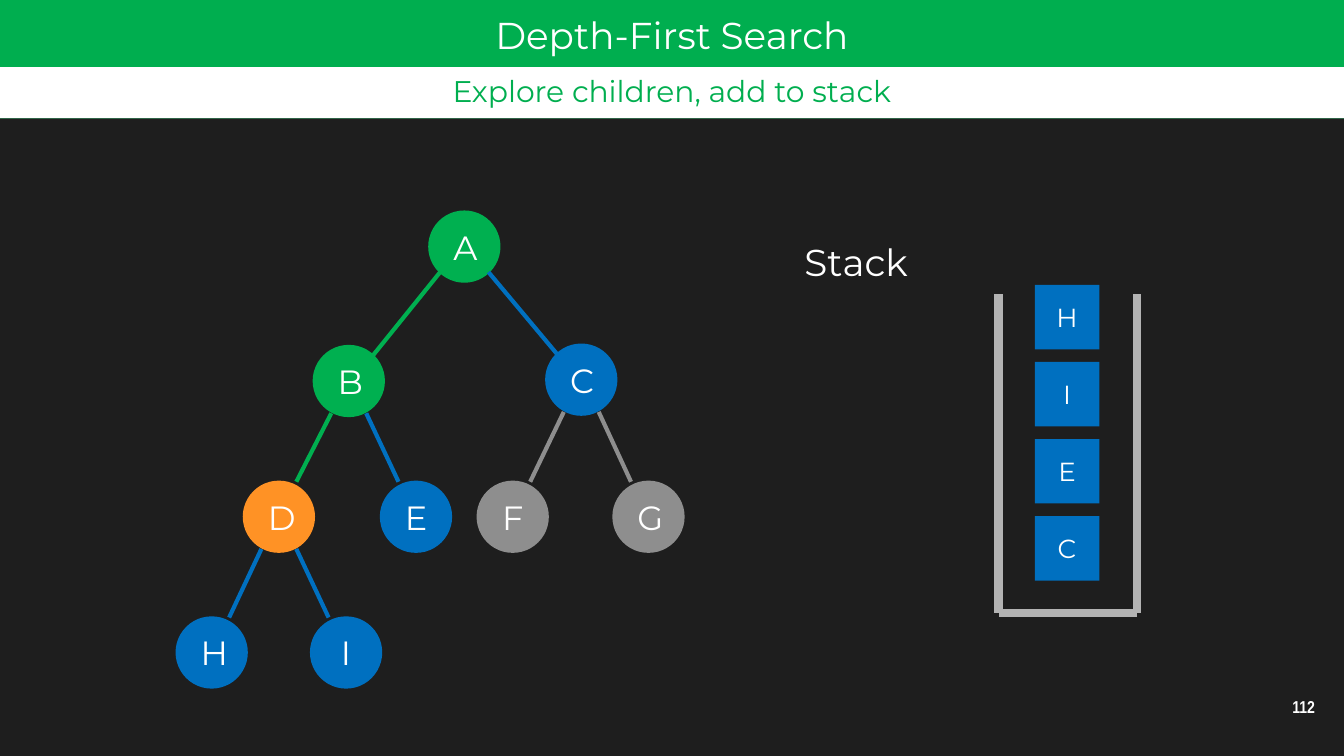
from pptx import Presentation
from pptx.dml.color import RGBColor
from pptx.enum.shapes import MSO_CONNECTOR as CONN, MSO_SHAPE as SHAPE
from pptx.enum.text import MSO_ANCHOR as ANCHOR, PP_ALIGN as ALIGN
from pptx.oxml.ns import qn
from pptx.util import Inches, Pt
from lxml import etree

BACKGROUND, WHITE, BANNER, WALL = "1E1E1E", "FFFFFF", "00AE4F", "B3B3B3"
VISITED, CURRENT, STACKED, UNSEEN = "00B050", "FF9225", "0070C0", "8E8E8E"

NODE_SIZE = 0.51
# name: (left, top, colour, parent), measured from the tree's corner
NODES = {
    "A": (1.88, 0, VISITED, None),
    "B": (1.02, 1.0, VISITED, "A"),
    "C": (2.75, 0.99, STACKED, "A"),
    "D": (0.5, 2.01, CURRENT, "B"),
    "E": (1.52, 2.01, STACKED, "B"),
    "F": (2.24, 2.01, UNSEEN, "C"),
    "G": (3.25, 2.01, UNSEEN, "C"),
    "H": (0, 3.02, STACKED, "D"),
    "I": (1.0, 3.02, STACKED, "D"),
}


def rgb(color):
    return RGBColor.from_string(color)


def place(sp, left, top, width, height):
    box = dict(left=left, top=top, width=width, height=height)
    for name, value in box.items():
        setattr(sp, name, Inches(value))


def write(sp, text, size, color=WHITE, inset=0.1, anchor=ANCHOR.TOP,
          font="Montserrat", bold=False, spacing=None):
    tf = sp.text_frame
    frame = dict(word_wrap=True, vertical_anchor=anchor,
                 margin_left=Inches(0.1), margin_right=Inches(0.1),
                 margin_top=Inches(inset), margin_bottom=Inches(inset))
    for name, value in frame.items():
        setattr(tf, name, value)
    p = tf.paragraphs[0]
    p.alignment = ALIGN.CENTER
    if spacing:
        p.line_spacing = spacing
    r = p.add_run()
    r.text = text
    for name, value in dict(name=font, size=Pt(size), bold=bold).items():
        setattr(r.font, name, value)
    r.font.color.rgb = rgb(color)


def add_filled(slide, kind, left, top, width, height, color, line=0):
    sp = slide.shapes.add_shape(
        kind, *map(Inches, (left, top, width, height)))
    sp.shadow.inherit = False
    sp.fill.solid()
    sp.fill.fore_color.rgb = rgb(color)
    if line:
        sp.line.color.rgb = rgb(color)
        sp.line.width = Pt(line)
    else:
        sp.line.fill.background()
    return sp


def add_line(slide, x1, y1, x2, y2, color, width):
    s = slide.shapes.add_connector(
        CONN.STRAIGHT, *map(Inches, (x1, y1, x2, y2)))
    s.line.color.rgb = rgb(color)
    s.line.width = Pt(width)
    etree.SubElement(s._element.spPr, qn("a:effectLst"))


def add_label(slide, left, top, width, height, text, size, **style):
    sp = slide.shapes.add_textbox(
        *map(Inches, (left, top, width, height)))
    write(sp, text, size, **style)


def add_header(slide, left, top, width, height, title, subtitle):
    sp = slide.shapes.title
    place(sp, left, top, width, height)
    sp.fill.solid()
    sp.fill.fore_color.rgb = rgb(BANNER)
    write(sp, title, 20, spacing=1.0)
    strip = 0.38
    sp = add_filled(slide, SHAPE.RECTANGLE, left, top + height - strip,
                    width, strip, WHITE)
    write(sp, subtitle, 16, color=BANNER, spacing=Pt(15))


def add_tree(slide, left, top):
    for name, (x, y, color, _) in NODES.items():
        sp = add_filled(slide, SHAPE.OVAL, left + x, top + y,
                        NODE_SIZE, NODE_SIZE, color, line=2)
        write(sp, name, 18, inset=0.05, anchor=ANCHOR.MIDDLE)
    for x, y, color, parent in NODES.values():
        if parent:
            add_edge(slide, left + NODE_SIZE / 2, top + NODE_SIZE / 2,
                     (x, y), NODES[parent],
                     VISITED if color == CURRENT else color)


def add_edge(slide, left, top, child, parent, color):
    """Join two nodes near their rims; the root's edges lean further out."""
    dx, dy, rise = (0.13, 0.24, 0.26) if parent[3] else (0.18, 0.19, 0.19)
    if child[0] < parent[0]:
        dx = -dx
    add_line(slide, left + parent[0] + dx, top + parent[1] + dy,
             left + child[0] - dx, top + child[1] - rise, color, 2.25)


def add_stack(slide, left, top, width, height, items):
    """Draw an open container; items run from top to bottom."""
    right, bottom = left + width, top + height
    for x in (left, right):
        add_line(slide, x, bottom, x, top, WALL, 4.5)
    add_line(slide, left, bottom, right, bottom, WALL, 4.5)
    size, step = 0.48, 1.72 / 3
    for i, item in enumerate(items):
        sp = add_filled(slide, SHAPE.RECTANGLE, left + 0.27,
                        top - 0.07 + i * step, size, size, STACKED)
        write(sp, item, 14, inset=0.05, anchor=ANCHOR.MIDDLE)


def main():
    prs = Presentation()
    prs.slide_width = Inches(10)
    prs.slide_height = Inches(10 * 9 / 16)
    slide = prs.slides.add_slide(prs.slide_layouts[5])
    slide.background.fill.solid()
    slide.background.fill.fore_color.rgb = rgb(BACKGROUND)

    add_header(slide, 0, -0.01, 10, 0.89, "Depth-First Search",
               "Explore children, add to stack")
    add_tree(slide, 1.32, 1.58)
    add_label(slide, 5.63, 1.68, 1.48, 0.51, "Stack", 20)
    add_stack(slide, 7.43, 2.19, 1.03, 2.37, "HIEC")
    add_label(slide, 9.4, 5.1, 0.6, 0.34, "112", 9.2, font="Arial Narrow",
              bold=True, anchor=ANCHOR.MIDDLE, spacing=0.9)
    prs.save("out.pptx")


if __name__ == "__main__":
    main()
